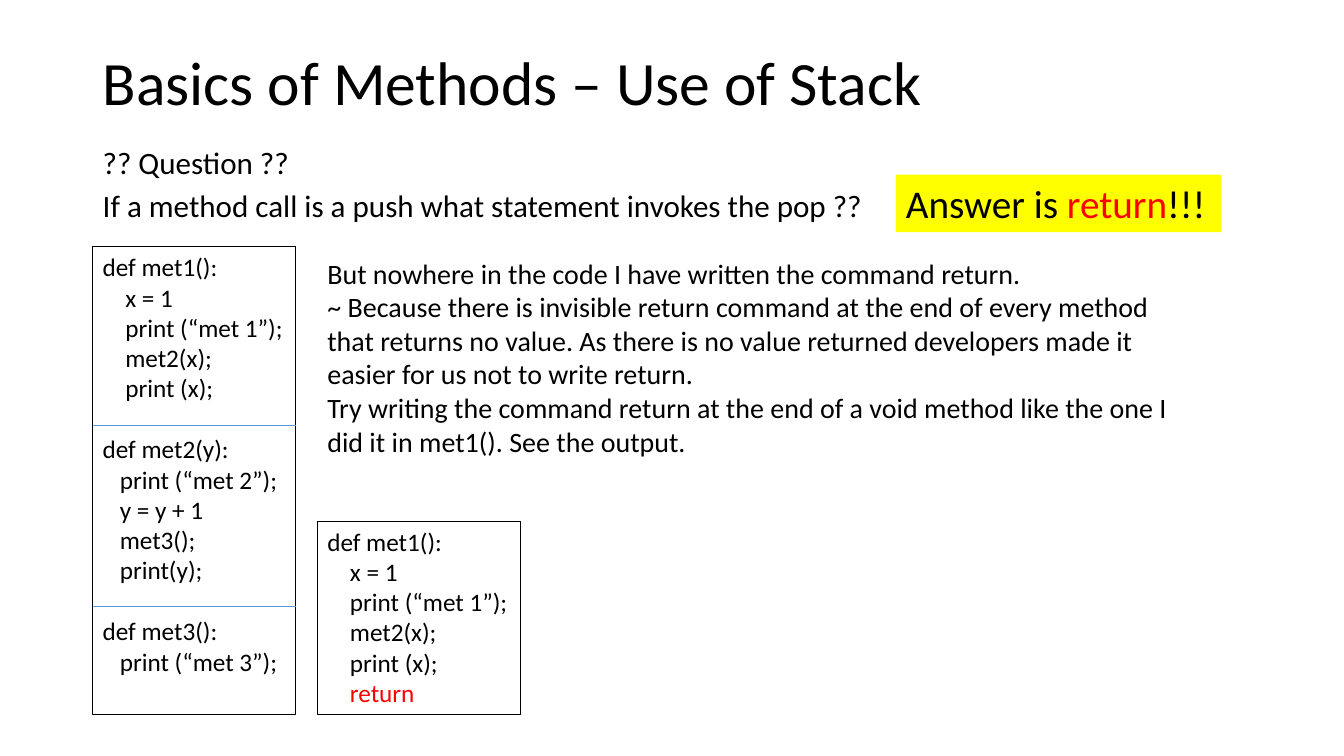
"""Build the slide on the call stack and the return statement."""
from lxml import etree
from pptx import Presentation
from pptx.dml.color import RGBColor
from pptx.enum import shapes, text
from pptx.oxml import ns
from pptx.util import Cm, Pt

BLACK = RGBColor(0x00, 0x00, 0x00)
RED = RGBColor(0xFF, 0x00, 0x00)
YELLOW = RGBColor(0xFF, 0xFF, 0x00)
BLUE = RGBColor(0x5B, 0x9B, 0xD5)
FONT = "Calibri"
CODE_SIZE = 18
BLANK_LINE = 22

TITLE = "Basics of Methods – Use of Stack"
QUESTION = [
    "?? Question ??",
    "If a method call is a push what statement invokes the pop ??",
]
ANSWER = [("Answer is ", BLACK), ("return", RED), ("!!!", BLACK)]
EXPLANATION = [
    "But nowhere in the code I have written the command return.",
    "~ Because there is invisible return command at the end of every method "
    "that returns no value. As there is no value returned developers made it "
    "easier for us not to write return.",
    "Try writing the command return at the end of a void method like the one I "
    "did it in met1(). See the output.",
]
MET1 = ("def met1():", ["x = 1", "print (“met 1”);", "met2(x);", "print (x);"], 0.57)
MET2 = ("def met2(y):", ["print (“met 2”);", "y = y + 1", "met3();", "print(y);"], 0.43)
MET3 = ("def met3():", ["print (“met 3”);"], 0.43)
MET1_RETURN = (MET1[0], MET1[1] + ["return"], MET1[2])

LEFT, CODE_LEFT, CODE_WIDTH, CODE_BOTTOM = 2.34, 8.0, 5.11, 18.01
CODE_TOP, RETURN_TOP = 6.22, 13.13
DIVIDERS = [10.72, 15.29]


def style(p, size, color=BLACK):
    for r in p.runs:
        r.font.name, r.font.size = FONT, Pt(size)
        r.font.color.rgb = color


def add_box(slide, left, top, width, height):
    sp = slide.shapes.add_textbox(Cm(left), Cm(top), Cm(width), Cm(height))
    sp.text_frame.word_wrap = True
    return sp


def add_text(slide, box, lines, size, line_spacing=1.0, before=0):
    tf = add_box(slide, *box).text_frame
    tf.text = "\n".join(lines)
    for p in tf.paragraphs:
        p.line_spacing, p.space_before = line_spacing, Pt(before)
        style(p, size)
    return tf


def add_code(slide, left, top, methods):
    sp = add_box(slide, left, top, CODE_WIDTH, CODE_BOTTOM - top)
    sp.line.color.rgb, sp.line.width = BLACK, Pt(0.75)
    tf = sp.text_frame
    tf.text = "\n".join(line for head, body, _ in methods for line in [head, *body])
    paragraphs = iter(tf.paragraphs)
    for number, (_, body, indent) in enumerate(methods):
        p = next(paragraphs)
        p.space_before = Pt(BLANK_LINE if number else 0)
        style(p, CODE_SIZE)
        for line in body:
            p = next(paragraphs)
            p._p.get_or_add_pPr().set("marL", str(Cm(indent)))
            style(p, CODE_SIZE, RED if line == "return" else BLACK)


def add_divider(slide, y):
    line = slide.shapes.add_connector(
        shapes.MSO_CONNECTOR.STRAIGHT, Cm(LEFT), Cm(y), Cm(LEFT + CODE_WIDTH), Cm(y))
    line.line.color.rgb, line.line.width = BLUE, Pt(0.5)
    etree.SubElement(line._element.spPr, ns.qn("a:effectLst"))


def main():
    prs = Presentation()
    prs.slide_width, prs.slide_height = Cm(33.87), Cm(19.05)
    slide = prs.slides.add_slide(prs.slide_layouts[6])

    tf = add_text(slide, (LEFT, 1.02, 29.21, 2.29), [TITLE], 44, 0.9)
    tf.vertical_anchor = text.MSO_ANCHOR.MIDDLE
    add_text(slide, (LEFT, 3.66, 29.21, 2.18), QUESTION, 22.2, 0.8, 10)

    sp = add_box(slide, 22.58, 4.4, 8.2, 1.45)
    sp.fill.solid()
    sp.fill.fore_color.rgb = YELLOW
    p = sp.text_frame.paragraphs[0]
    for words, color in ANSWER:
        r = p.add_run()
        r.text = words
        r.font.name, r.font.size = FONT, Pt(28)
        r.font.color.rgb = color

    add_code(slide, LEFT, CODE_TOP, [MET1, MET2, MET3])
    for y in DIVIDERS:
        add_divider(slide, y)
    add_text(slide, (CODE_LEFT, 6.33, 22.02, 5.38), EXPLANATION, 20)
    add_code(slide, CODE_LEFT, RETURN_TOP, [MET1_RETURN])
    prs.save("out.pptx")


if __name__ == "__main__":
    main()
